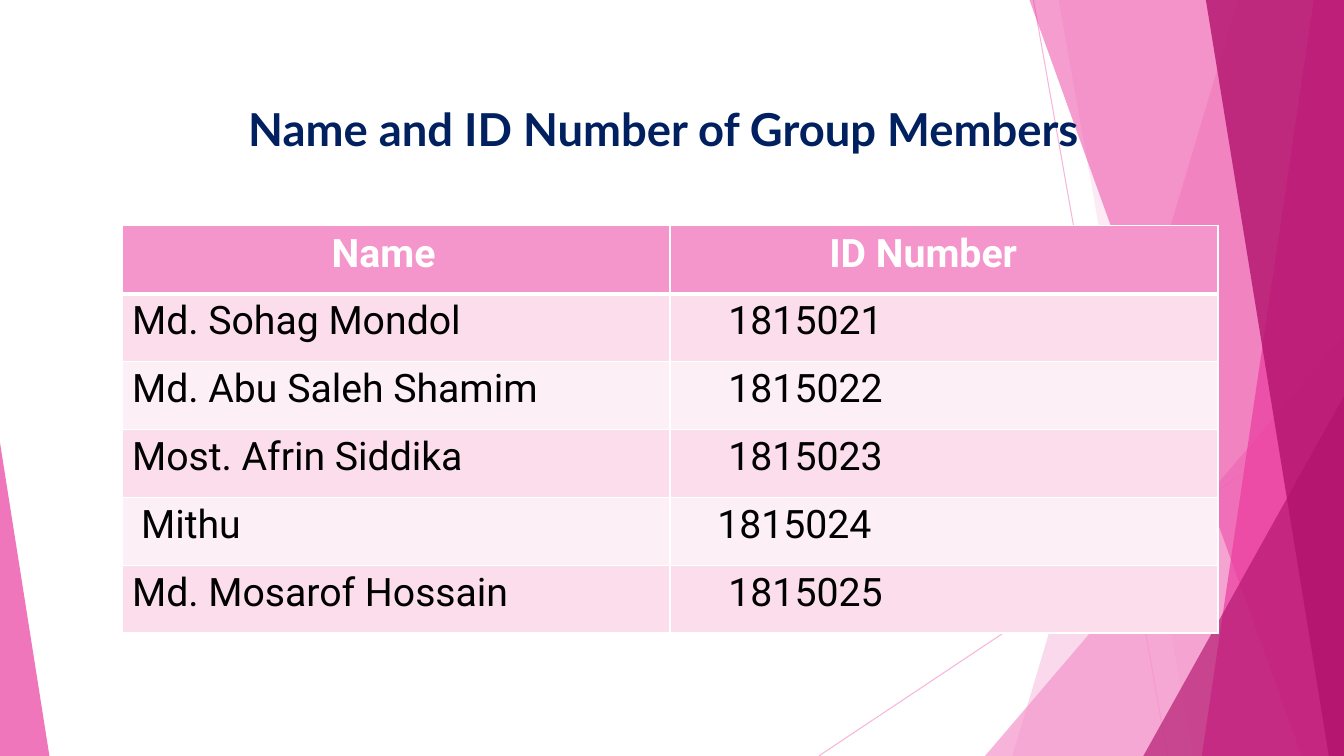
from lxml import etree
from pptx import Presentation
from pptx import util as u
from pptx.dml import color
from pptx.enum import shapes, text
from pptx.oxml import ns

WIDTH, HEIGHT = u.Inches(13.33), u.Inches(7.5)
PINK, MAGENTA, PLUM = "F496CB", "EB3D9F", "B2136D"
STRIPES = ["FBDDEC", "FDEFF6"]

EDGE_LINES = [((76.9, 0), (86.87, 100)), ((100, 53.73), (60.92, 100))]
BACK_BANDS = [(92.12, 75.32, PINK, 36), (78.77, 88.75, PINK, 20)]
FRONT_BANDS = [(76.6, 96.85, MAGENTA, 50), (97.75, 89.42, MAGENTA, 70),
               (89.72, 98.87, PLUM, 80)]
BACK_WEDGE = (73.29, 44.4, 26.71, 1, PINK, 72)
FRONT_WEDGES = [(85.07, 52.4, 14.93, 1, PLUM, 66), (0, 58.53, 3.68, 0, MAGENTA, 70)]

HEADINGS = [("Name", 2.08), ("ID Number", 1.58)]
MEMBERS = [
    (("Md. Sohag Mondol", 0.1), ("1815021", 0.58)),
    (("Md. Abu Saleh Shamim", 0.1), ("1815022", 0.58)),
    (("Most. Afrin Siddika", 0.1), ("1815023", 0.58)),
    (("Mithu", 0.19), ("1815024", 0.47)),
    (("Md. Mosarof Hossain", 0.1), ("1815025", 0.58)),
]


def across(share):
    return round(WIDTH * share / 100)


def down(share):
    return round(HEIGHT * share / 100)


def rgb(value):
    return color.RGBColor.from_string(value)


def apply(target, values):
    for name, value in values.items():
        setattr(target, name, value)


def set_alpha(item, percent):
    for tint in item.element.xpath("./p:spPr//a:srgbClr"):
        etree.SubElement(tint, ns.qn("a:alpha"), val=str(percent * 1000))


def paint(shape, fill, opacity):
    shape.shadow.inherit = False
    shape.line.fill.background()
    shape.fill.solid()
    shape.fill.fore_color.rgb = rgb(fill)
    set_alpha(shape, opacity)


def add_line(page, start, end):
    line = page.shapes.add_connector(
        shapes.MSO_CONNECTOR.STRAIGHT,
        across(start[0]), down(start[1]), across(end[0]), down(end[1]))
    line.line.color.rgb = rgb(PINK)
    line.line.width = u.Pt(0.75)
    set_alpha(line, 70)
    etree.SubElement(line.element.spPr, ns.qn("a:effectLst"))


def add_band(page, top, bottom, fill, opacity):
    outline = page.shapes.build_freeform(across(top), 0)
    corners = [(100, 0), (100, 100), (bottom, 100)]
    outline.add_line_segments([(across(x), down(y)) for x, y in corners], close=True)
    paint(outline.convert_to_shape(), fill, opacity)


def add_wedge(page, left, top, width, apex, fill, opacity):
    wedge = page.shapes.add_shape(
        shapes.MSO_SHAPE.ISOSCELES_TRIANGLE,
        across(left), down(top), across(width), down(100 - top))
    wedge.adjustments[0] = apex
    paint(wedge, fill, opacity)


def add_borders(cell, widths):
    properties = cell._tc.get_or_add_tcPr()
    for side, width in widths.items():
        border = etree.SubElement(properties, ns.qn("a:ln" + side), w=str(u.Pt(width)))
        fill = etree.SubElement(border, ns.qn("a:solidFill"))
        etree.SubElement(fill, ns.qn("a:srgbClr"), val="FFFFFF")


def write(para, words, font, size, ink, bold):
    span = para.add_run()
    span.text = words
    apply(span.font, {"name": font, "size": u.Pt(size), "bold": bold})
    span.font.color.rgb = rgb(ink)


def add_members(page):
    rows = [HEADINGS] + MEMBERS
    frame = page.shapes.add_table(
        len(rows), 2, across(9.08), down(29.87), across(81.55), down(53.87))
    table = frame.table
    for index, row in enumerate(rows):
        heading = index == 0
        for column, (words, indent) in enumerate(row):
            cell = table.cell(index, column)
            apply(cell, {"margin_left": u.Inches(indent),
                         "vertical_anchor": text.MSO_ANCHOR.TOP})
            add_borders(cell, {"L": 1, "R": 1, "T": 3 if index == 1 else 1,
                               "B": 3 if heading else 1})
            cell.fill.solid()
            cell.fill.fore_color.rgb = rgb(PINK if heading else STRIPES[(index - 1) % 2])
            write(cell.text_frame.paragraphs[0], words, "Roboto", 28,
                  "FFFFFF" if heading else "000000", heading)


def add_title(page):
    title = page.shapes.title
    apply(title, {"left": across(11.63), "top": down(12.67),
                  "width": across(75.47), "height": down(14)})
    apply(title.text_frame, {"word_wrap": True, "auto_size": text.MSO_AUTO_SIZE.NONE,
                             "vertical_anchor": text.MSO_ANCHOR.TOP})
    para = title.text_frame.paragraphs[0]
    para.alignment = text.PP_ALIGN.CENTER
    write(para, "Name and ID Number of Group Members", "Lato", 32.4, "002060", True)
    title.element.getparent().append(title.element)


def main():
    deck = Presentation()
    apply(deck, {"slide_width": WIDTH, "slide_height": HEIGHT})
    page = deck.slides.add_slide(deck.slide_layouts[5])
    for line in EDGE_LINES:
        add_line(page, *line)
    for band in BACK_BANDS:
        add_band(page, *band)
    add_wedge(page, *BACK_WEDGE)
    for band in FRONT_BANDS:
        add_band(page, *band)
    for wedge in FRONT_WEDGES:
        add_wedge(page, *wedge)
    add_members(page)
    add_title(page)
    deck.save("out.pptx")


if __name__ == "__main__":
    main()
